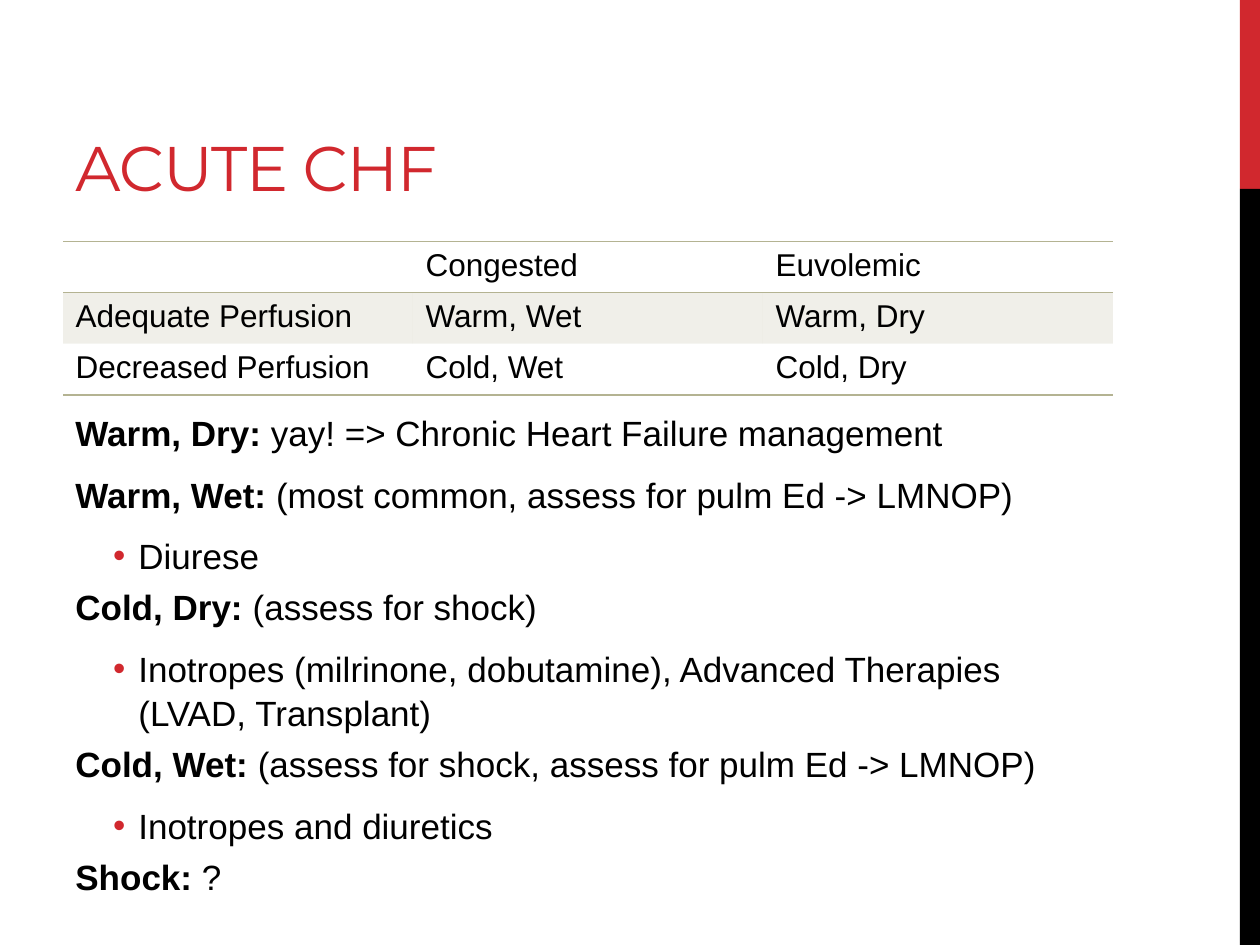
from dataclasses import dataclass
from lxml import etree
from pptx import Presentation
from pptx.dml.color import RGBColor
from pptx.enum.shapes import MSO_SHAPE
from pptx.enum.text import MSO_ANCHOR
from pptx.oxml.ns import qn
from pptx.util import Inches, Pt

RECT = MSO_SHAPE.RECTANGLE
TOP, BOTTOM = MSO_ANCHOR.TOP, MSO_ANCHOR.BOTTOM
COLS, ROWS = 100, 75
PLAIN = "{2D5ABB26-0587-4C30-8999-92F81FD0307C}"


@dataclass(frozen=True)
class Theme:
    red: str = "D1282E"
    black: str = "000000"
    sand: str = "B4B392"
    head: str = "Montserrat"
    body: str = "Arial"
    title: int = 36
    text: int = 20
    cell: int = 18


def add(node, tag, **attrs):
    return etree.SubElement(node, qn(tag), attrs)


class Deck:
    def __init__(self, theme):
        self.theme = theme
        self.deck = Presentation()
        self.deck.slide_width, self.deck.slide_height = Inches(10), Inches(7.5)
        self.slide = self.deck.slides.add_slide(self.deck.slide_layouts[6])

    def place(self, x, y, w, h):
        wide, high = self.deck.slide_width / COLS, self.deck.slide_height / ROWS
        return [round(n) for n in (x * wide, y * high, w * wide, h * high)]

    def style(self, run, size, color, face, bold=False):
        font = run.font
        font.size, font.name, font.bold = Pt(size), face, bold
        font.color.rgb = RGBColor.from_string(color)

    def bar(self, box, color):
        shape = self.slide.shapes.add_shape(RECT, *self.place(*box))
        shape.shadow.inherit = False
        shape.fill.solid()
        shape.fill.fore_color.rgb = RGBColor.from_string(color)
        shape.line.fill.background()

    def frame(self, box, anchor):
        frame = self.slide.shapes.add_textbox(*self.place(*box)).text_frame
        frame.word_wrap = True
        frame.vertical_anchor = anchor
        return frame

    def title(self, box, text):
        frame = self.frame(box, BOTTOM)
        frame.text = text
        run = frame.paragraphs[0].runs[0]
        self.style(run, self.theme.title, self.theme.red, self.theme.head)
        run.font._element.set("spc", "-60")

    def edge(self, cell, side):
        line = add(cell._tc.get_or_add_tcPr(), side, w=str(Pt(1)))
        add(add(line, "a:solidFill"), "a:srgbClr", val=self.theme.sand)

    def table(self, box, rows):
        shape = self.slide.shapes.add_table(len(rows), len(rows[0]), *self.place(*box))
        table = shape.table
        table.first_row = table.horz_banding = False
        table._tbl.tblPr.find(qn("a:tableStyleId")).text = PLAIN
        for r, row in enumerate(rows):
            for c, text in enumerate(row):
                cell = table.cell(r, c)
                cell.text = text
                for run in cell.text_frame.paragraphs[0].runs:
                    self.style(run, self.theme.cell, self.theme.black, self.theme.body)
                if r == 0:
                    self.edge(cell, "a:lnT")
                if r in (0, len(rows) - 1):
                    self.edge(cell, "a:lnB")
                if r % 2:
                    cell.fill.solid()
                    cell.fill.fore_color.rgb = RGBColor.from_string(self.theme.sand)
                    tint = cell._tc.tcPr.find(".//" + qn("a:srgbClr"))
                    add(tint, "a:alpha", val="20000")
                else:
                    cell.fill.background()

    def bullet(self, para):
        para.level = 1
        props = para._p.get_or_add_pPr()
        props.set("marL", str(Inches(0.5)))
        props.set("indent", str(Inches(-0.2)))
        add(add(props, "a:buClr"), "a:srgbClr", val=self.theme.red)
        add(props, "a:buFont", typeface=self.theme.body)
        add(props, "a:buChar", char="•")

    def notes(self, box, items):
        frame = self.frame(box, TOP)
        for n, (lead, text) in enumerate(items):
            para = frame.add_paragraph() if n else frame.paragraphs[0]
            para.line_spacing = 1.05
            para.space_before = Pt(4)
            para.space_after = Pt(6 if lead else 0)
            if not lead:
                self.bullet(para)
            for part, bold in ((lead, True), (text, False)):
                if part:
                    run = para.add_run()
                    run.text = part
                    self.style(run, self.theme.text, self.theme.black,
                               self.theme.body, bold)


def main():
    theme = Theme()
    deck = Deck(theme)
    deck.bar((98.4, 0, 1.6, 15), theme.red)
    deck.bar((98.4, 15, 1.6, 60), theme.black)
    deck.title((5, 1.7, 63.3, 15), "ACUTE CHF")
    deck.table((5, 19.15, 83.33, 12.2), [
        ("", "Congested", "Euvolemic"),
        ("Adequate Perfusion", "Warm, Wet", "Warm, Dry"),
        ("Decreased Perfusion", "Cold, Wet", "Cold, Dry"),
    ])
    deck.notes((5, 32, 83.33, 47.8), [
        ("Warm, Dry:", " yay! => Chronic Heart Failure management"),
        ("Warm, Wet: ", "(most common, assess for pulm Ed -> LMNOP)"),
        ("", "Diurese"),
        ("Cold, Dry: ", "(assess for shock)"),
        ("", "Inotropes (milrinone, dobutamine), Advanced Therapies (LVAD, Transplant)"),
        ("Cold, Wet: ", "(assess for shock, assess for pulm Ed -> LMNOP)"),
        ("", "Inotropes and diuretics"),
        ("Shock: ", "?"),
    ])
    deck.deck.save("out.pptx")


if __name__ == "__main__":
    main()
